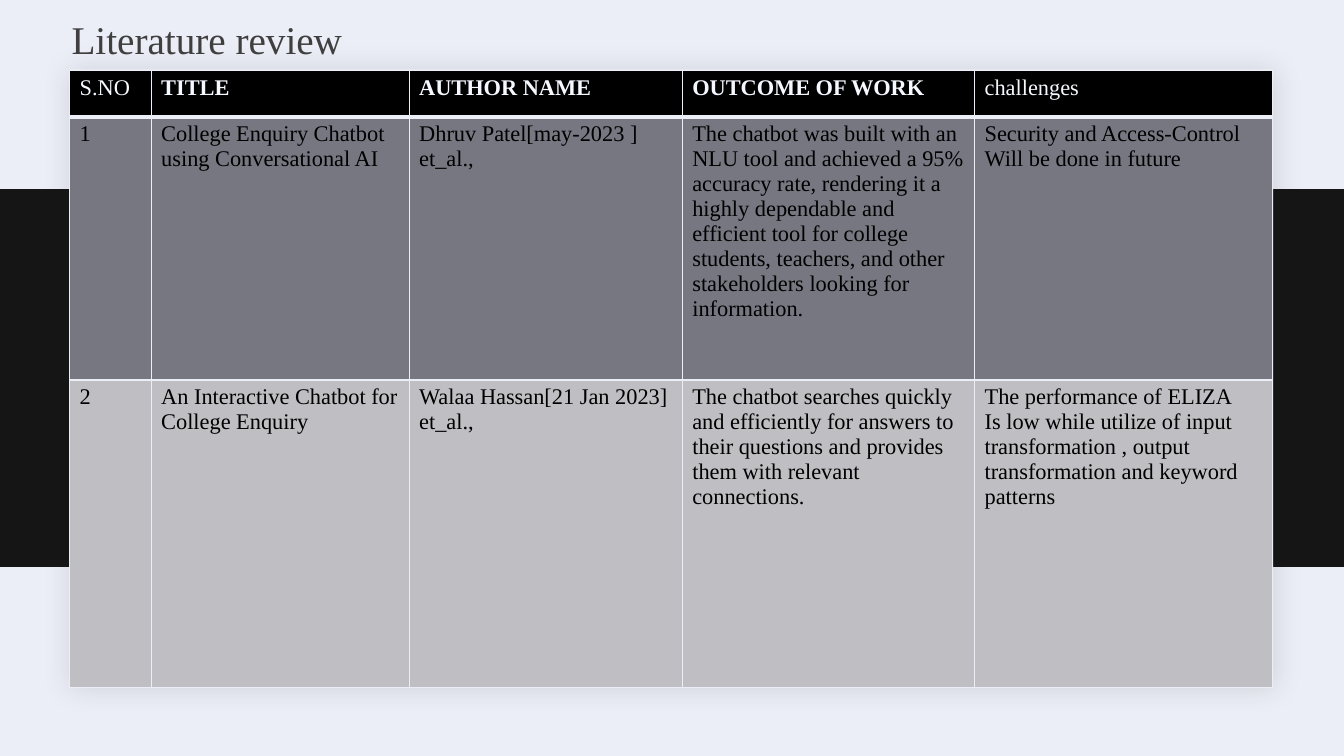
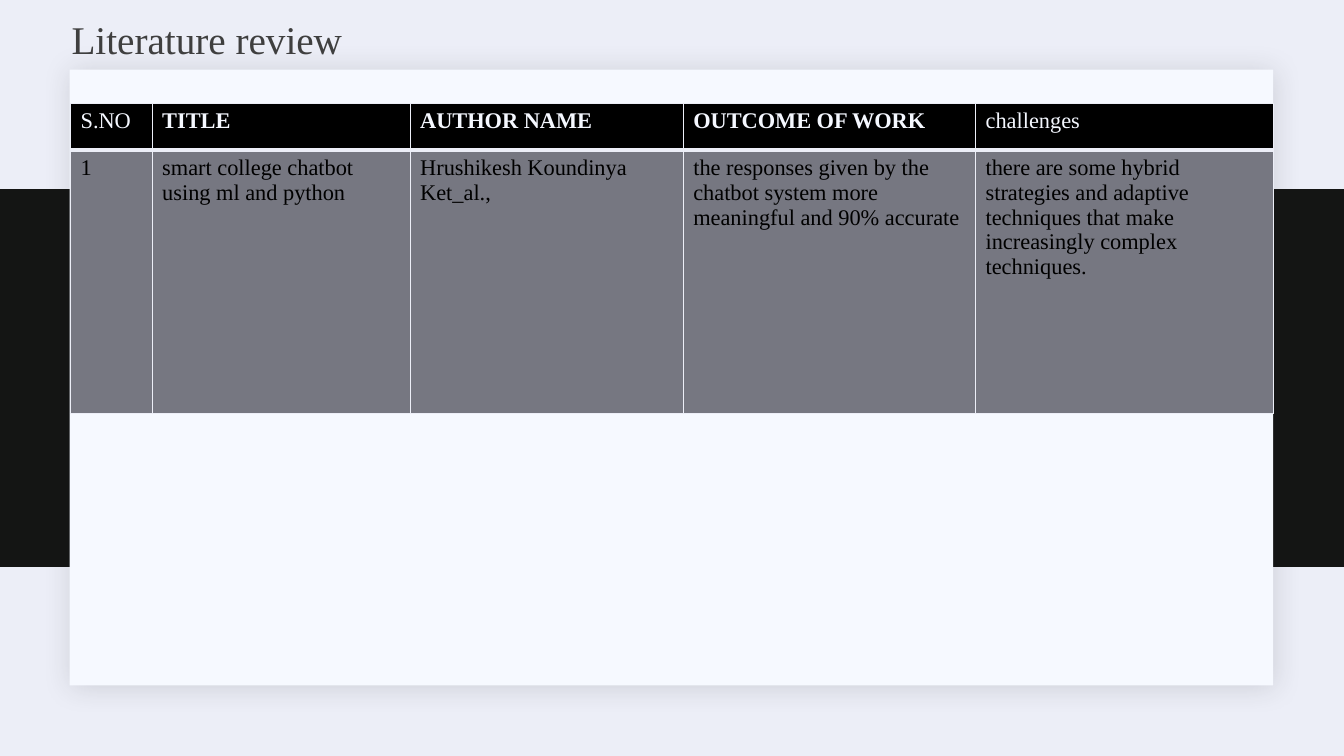
from lxml import etree
from pptx import Presentation
from pptx.dml import color
from pptx.enum import shapes, text
from pptx.oxml import ns
from pptx.util import Pt

FONT = "Times New Roman"
BACKGROUND = "ECEEF7"
BAND = "141514"
CARD = "F6F9FF"
TITLE = "3F3F3F"
HEADER_FILL = "000000"
HEADER_TEXT = "F5F8FF"
BODY_TEXT = "000000"
ROW_FILLS = ["767781", "BFBFC3"]
COLUMN_WIDTHS = [58.3, 184.3, 195.1, 208.8, 213.1]
HEADER_HEIGHT = 33.1
HEADERS = ["S.NO", "TITLE", "AUTHOR NAME", "OUTCOME OF WORK", "challenges"]
PLAIN_HEADERS = ["S.NO", "challenges"]

REVIEWS = [
    {
        "left": 49.7,
        "top": 50.4,
        "heights": [187.9, 219.6],
        "rows": [
            [
                "1",
                "College Enquiry Chatbot using Conversational AI",
                "Dhruv Patel[may-2023 ] et_al.,",
                "The chatbot was built with an NLU tool and achieved a 95% accuracy rate, "
                "rendering it a highly dependable and efficient tool for college students, "
                "teachers, and other stakeholders looking for information.",
                "Security and Access-Control\nWill be done in future",
            ],
            [
                "2",
                "An Interactive Chatbot for College Enquiry",
                "Walaa Hassan[21 Jan 2023] et_al.,",
                "The chatbot searches quickly and efficiently for answers to their questions "
                "and provides them with relevant connections.",
                "The performance of ELIZA\nIs low while utilize of input transformation , "
                "output transformation and keyword patterns",
            ],
        ],
    },
    {
        "left": 50.4,
        "top": 74.2,
        "heights": [187.9],
        "rows": [
            [
                "1",
                "smart college chatbot using ml and python",
                "Hrushikesh Koundinya Ket_al.,",
                "the responses given by the chatbot system more meaningful and 90% accurate",
                "there are some hybrid strategies and adaptive techniques that make "
                "increasingly complex techniques.",
            ],
        ],
    },
]


def rgb(value):
    return color.RGBColor.from_string(value)


def add_run(paragraph, words, size, colour, bold=False):
    run = paragraph.add_run()
    run.text = words
    run.font.name = FONT
    run.font.size = Pt(size)
    run.font.bold = bold
    run.font.color.rgb = rgb(colour)


presentation = Presentation()
presentation.slide_width = Pt(960)
presentation.slide_height = Pt(540)
layout = presentation.slide_layouts.get_by_name("Title Only")
layout.background.fill.solid()
layout.background.fill.fore_color.rgb = rgb(BACKGROUND)
slides = [presentation.slides.add_slide(layout) for review in REVIEWS]

backdrop = [(0, 135, 960, 270, BAND), (49.7, 49.7, 859.7, 439.9, CARD)]
for position, (left, top, width, height, fill) in enumerate(backdrop, start=2):
    shape = slides[0].shapes.add_shape(
        shapes.MSO_SHAPE.RECTANGLE, Pt(left), Pt(top), Pt(width), Pt(height)
    )
    shape.fill.solid()
    shape.fill.fore_color.rgb = rgb(fill)
    shape.line.fill.background()
    shape.shadow.inherit = False
    if fill == CARD:
        effects = shape.element.find(".//" + ns.qn("a:effectLst"))
        shadow = etree.SubElement(
            effects, ns.qn("a:outerShdw"), blurRad=str(Pt(20)), dist=str(Pt(2)),
            dir="2700000", algn="ctr", rotWithShape="0",
        )
        shade = etree.SubElement(shadow, ns.qn("a:srgbClr"), val="1F2125")
        etree.SubElement(shade, ns.qn("a:alpha"), val="15000")
    layout.shapes.element.insert(position, shape.element)

for slide, review in zip(slides, REVIEWS):
    title = slide.shapes.title
    title.left, title.top = Pt(43.9), Pt(8.6)
    title.width, title.height = Pt(813.6), Pt(41.8)
    title.text_frame.auto_size = text.MSO_AUTO_SIZE.NONE
    title.text_frame.vertical_anchor = text.MSO_ANCHOR.MIDDLE
    paragraph = title.text_frame.paragraphs[0]
    paragraph.alignment = text.PP_ALIGN.LEFT
    paragraph.line_spacing = 0.9
    add_run(paragraph, "Literature review", 28, TITLE)

    rows = [HEADERS] + review["rows"]
    heights = [HEADER_HEIGHT] + review["heights"]
    fills = [HEADER_FILL] + ROW_FILLS
    frame = slide.shapes.add_table(
        len(rows), len(HEADERS), Pt(review["left"]), Pt(review["top"]),
        Pt(sum(COLUMN_WIDTHS)), Pt(sum(heights)),
    )
    table = frame.table
    for column, width in zip(table.columns, COLUMN_WIDTHS):
        column.width = Pt(width)

    for row_index, words_in_row in enumerate(rows):
        table.rows[row_index].height = Pt(heights[row_index])
        is_header = row_index == 0
        for column_index, words in enumerate(words_in_row):
            cell = table.cell(row_index, column_index)
            cell.fill.solid()
            cell.fill.fore_color.rgb = rgb(fills[row_index])
            for line_index, line in enumerate(words.split("\n")):
                if line_index:
                    paragraph = cell.text_frame.add_paragraph()
                else:
                    paragraph = cell.text_frame.paragraphs[0]
                add_run(
                    paragraph, line, 16, HEADER_TEXT if is_header else BODY_TEXT,
                    is_header and words not in PLAIN_HEADERS,
                )

    for row_index, row in enumerate(frame.element.iter(ns.qn("a:tr"))):
        widths = {
            "lnL": 1,
            "lnR": 1,
            "lnT": 3 if row_index == 1 else 1,
            "lnB": 3 if row_index == 0 else 1,
        }
        for properties in row.iter(ns.qn("a:tcPr")):
            for position, (side, width) in enumerate(widths.items()):
                border = etree.Element(ns.qn("a:" + side), w=str(Pt(width)))
                fill = etree.SubElement(border, ns.qn("a:solidFill"))
                etree.SubElement(fill, ns.qn("a:srgbClr"), val=BACKGROUND)
                properties.insert(position, border)

presentation.save("out.pptx")
